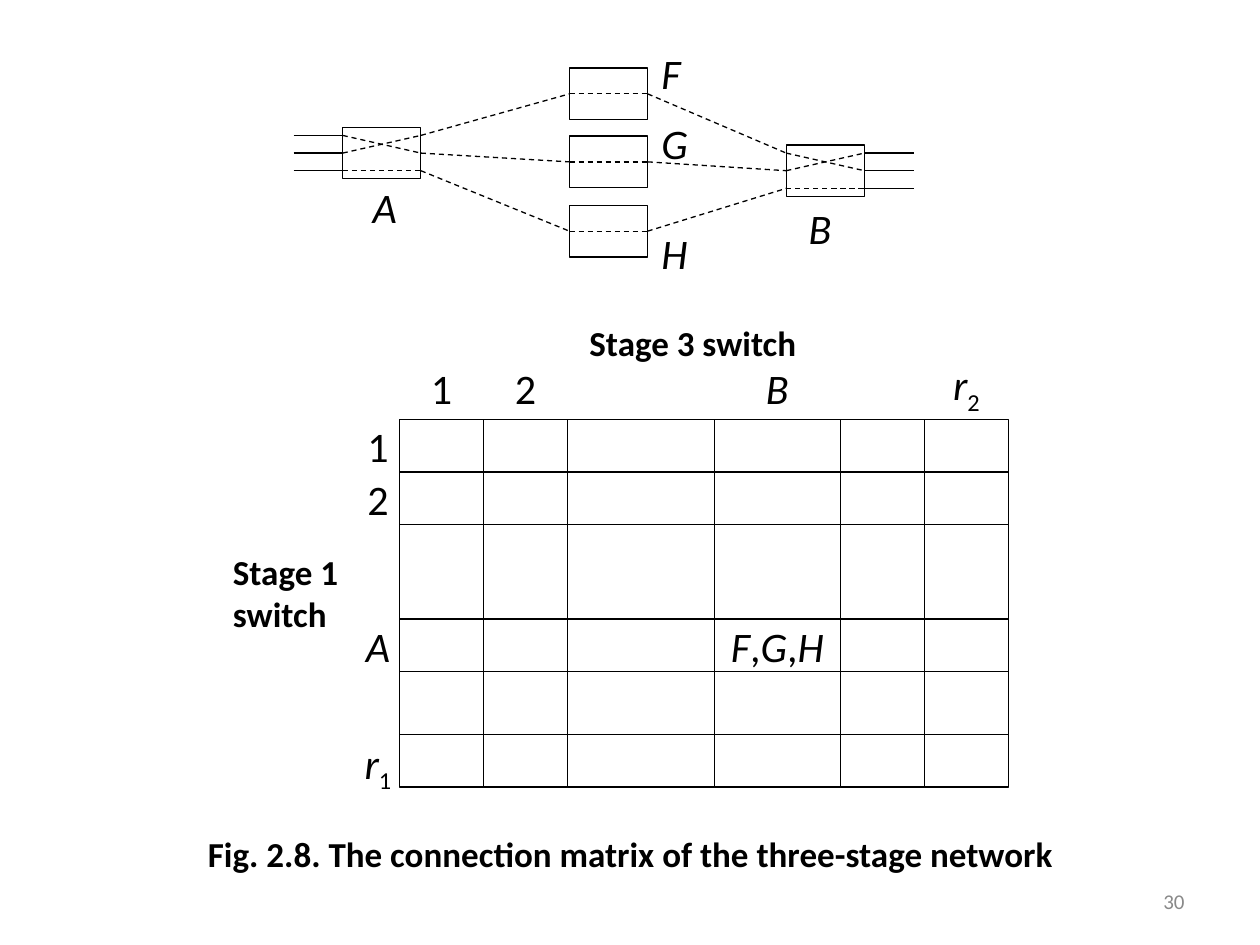
from itertools import accumulate

from lxml import etree
from pptx import Presentation
from pptx.dml.color import RGBColor
from pptx.enum import dml, shapes, text
from pptx.oxml import ns
from pptx.util import Inches, Pt

COLORS = {"ink": "000000", "page": "898989"}
LEFT, MID, RIGHT = text.PP_ALIGN.LEFT, text.PP_ALIGN.CENTER, text.PP_ALIGN.RIGHT
TOP, CENTER = text.MSO_ANCHOR.TOP, text.MSO_ANCHOR.MIDDLE


def write(frame, words, size=24, bold=False, color="ink", align=MID,
          anchor=CENTER, wrap=False):
    """Fill a frame; "|" parts runs, "/" leads an italic and "_" a subscript."""
    frame.word_wrap = wrap
    frame.vertical_anchor = anchor
    para = frame.paragraphs[0]
    para.alignment = align
    for part in words.split("|"):
        run = para.add_run()
        run.text = part.lstrip("/_")
        font = run.font
        font.name, font.size, font.bold = "Calibri", Pt(size), bold
        font.italic = part.startswith("/")
        font.color.rgb = RGBColor.from_string(COLORS[color])
        if part.startswith("_"):
            run._r.get_or_add_rPr().set("baseline", "-25000")


def label(group, box, words, **style):
    item = group.add_textbox(*map(Inches, box))
    write(item.text_frame, words, **style)


def ink(line):
    line.color.rgb = RGBColor.from_string(COLORS["ink"])
    line.width = Pt(0.75)


def rect(group, *box):
    item = group.add_shape(shapes.MSO_SHAPE.RECTANGLE, *map(Inches, box))
    item.shadow.inherit = False
    item.fill.background()
    ink(item.line)
    return item


def port(box, side, row=0):
    """Give the point on side 1 (left) or 3 (right), and its site if central."""
    x = box.left + (box.width if side == 3 else 0)
    y = box.top + box.height // 2 + row * Inches(0.14)
    return x, y, None if row else (box, side)


def wire(group, start, end, dash=True):
    item = group.add_connector(shapes.MSO_CONNECTOR.STRAIGHT,
                               *start[:2], *end[:2])
    ink(item.line)
    if dash:
        item.line.dash_style = dml.MSO_LINE.DASH
    etree.SubElement(item._element.spPr, ns.qn("a:effectLst"))
    if start[2]:
        item.begin_connect(*start[2])
    if end[2]:
        item.end_connect(*end[2])


def network(slide, x, y):
    group = slide.shapes.add_group_shape().shapes
    wide, high, lead = 0.62, 0.41, Inches(0.39)
    first = rect(group, x + 0.39, y + 0.47, wide, high)
    mids = [rect(group, x + 2.19, y + dy, wide, high) for dy in (0, 0.54, 1.09)]
    last = rect(group, x + 3.91, y + 0.61, wide, high)
    for row, mid in zip((-1, 0, 1), mids):
        enter, leave = port(first, 1, row), port(last, 3, row)
        wire(group, (enter[0] - lead, enter[1], None), enter, dash=False)
        wire(group, port(first, 3, row), port(mid, 1))
        wire(group, port(mid, 1), port(mid, 3))
        wire(group, port(mid, 3), port(last, 1, row))
        wire(group, leave, (leave[0] + lead, leave[1], None), dash=False)
    for box in (first, last):
        for row, out in ((-1, 0), (0, -1), (1, 1)):
            wire(group, port(box, 1, row), port(box, 3, out))
    names = (("A", 0.53, 0.85, 0.39), ("B", 3.99, 1.02, 0.38),
             ("F", 2.82, -0.21, 0.35), ("G", 2.82, 0.34, 0.41),
             ("H", 2.82, 1.22, 0.41))
    for name, dx, dy, width in names:
        label(group, (x + dx, y + dy, width, 0.5), "/" + name,
              align=LEFT, anchor=TOP)


def matrix(slide, x, y):
    group = slide.shapes.add_group_shape().shapes
    wides = [2 / 3, 2 / 3, 7 / 6, 1, 2 / 3, 2 / 3]
    highs = [5 / 12, 5 / 12, 3 / 4, 5 / 12, 1 / 2, 5 / 12]
    cols = list(zip(accumulate([x] + wides), wides,
                    ("1", "2", "", "/B", "", "/r|_2")))
    rows = list(zip(accumulate([y] + highs), highs,
                    ("1", "2", "", "/A", "", "/r|_1")))
    for top, high, row in rows:
        for left, wide, col in cols:
            cell = rect(group, left, top, wide, high)
            if (row, col) == ("/A", "/B"):
                write(cell.text_frame, "/F|,|/G|,|/H")
    for top, high, name in rows:
        if name:
            tall = 0.5 if "_" in name else high
            label(group, (x - 0.42, top, 0.5, tall), name)
    for left, wide, name in cols:
        if name:
            label(group, (left, y - 0.42, wide, 0.33), name)
    head = dict(size=20, bold=True, align=LEFT, anchor=TOP, wrap=True)
    label(group, (x - 1.42, y + 0.99, 1.08, 0.77), "Stage 1 switch", **head)
    label(group, (x + 1.41, y - 0.83, 2.17, 0.44), "Stage 3 switch", **head)


def caption(slide, *box):
    title = slide.shapes.title
    title.left, title.top, title.width, title.height = map(Inches, box)
    write(title.text_frame, "Fig. 2.8. The connection matrix of the "
          "three-stage network", size=20, bold=True, wrap=True)
    title.text_frame.paragraphs[0].line_spacing = 0.9


def main():
    deck = Presentation()
    deck.slide_width, deck.slide_height = Inches(10), Inches(7.5)
    slide = deck.slides.add_slide(deck.slide_layouts[5])
    caption(slide, 0.42, 6.42, 9.17, 0.75)
    network(slide, 2.33, 0.54)
    matrix(slide, 3.17, 3.33)
    label(slide.shapes, (7.17, 6.95, 2.33, 0.4), "30", size=12,
          color="page", align=RIGHT, wrap=True)
    deck.save("out.pptx")


if __name__ == "__main__":
    main()
